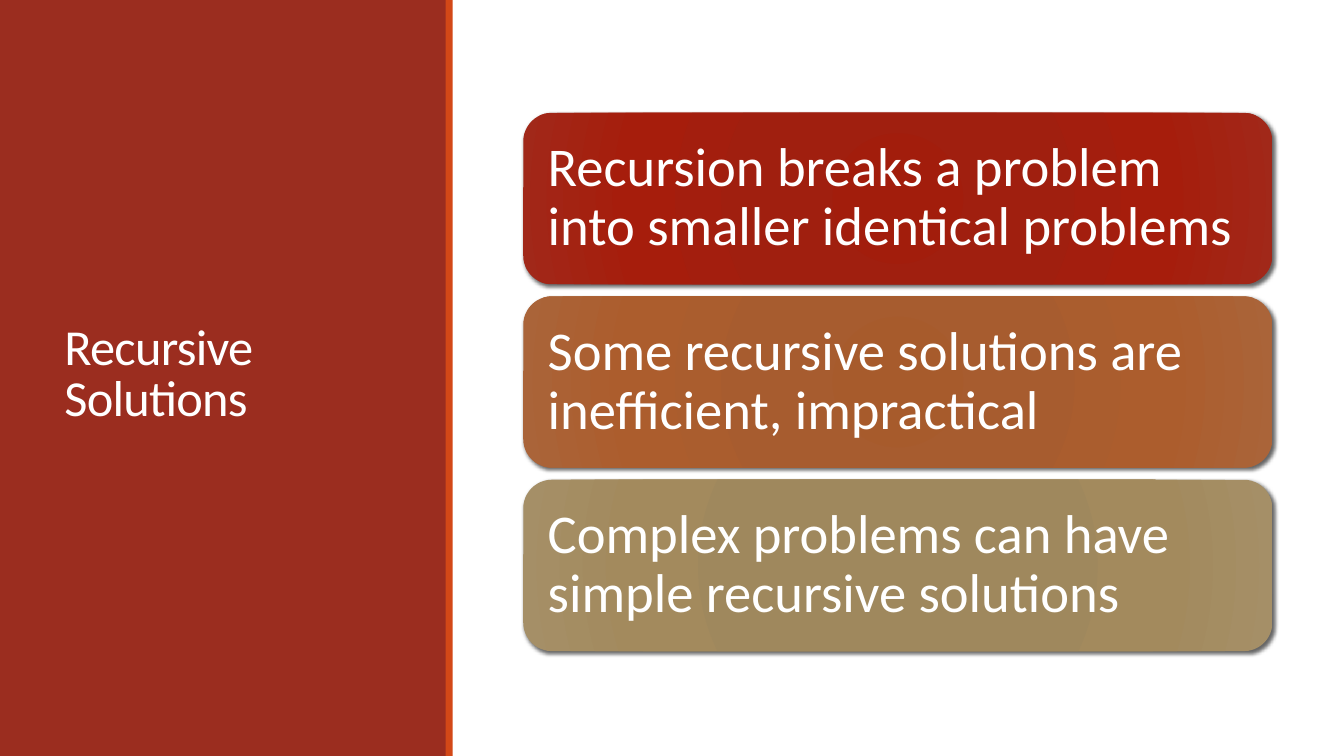
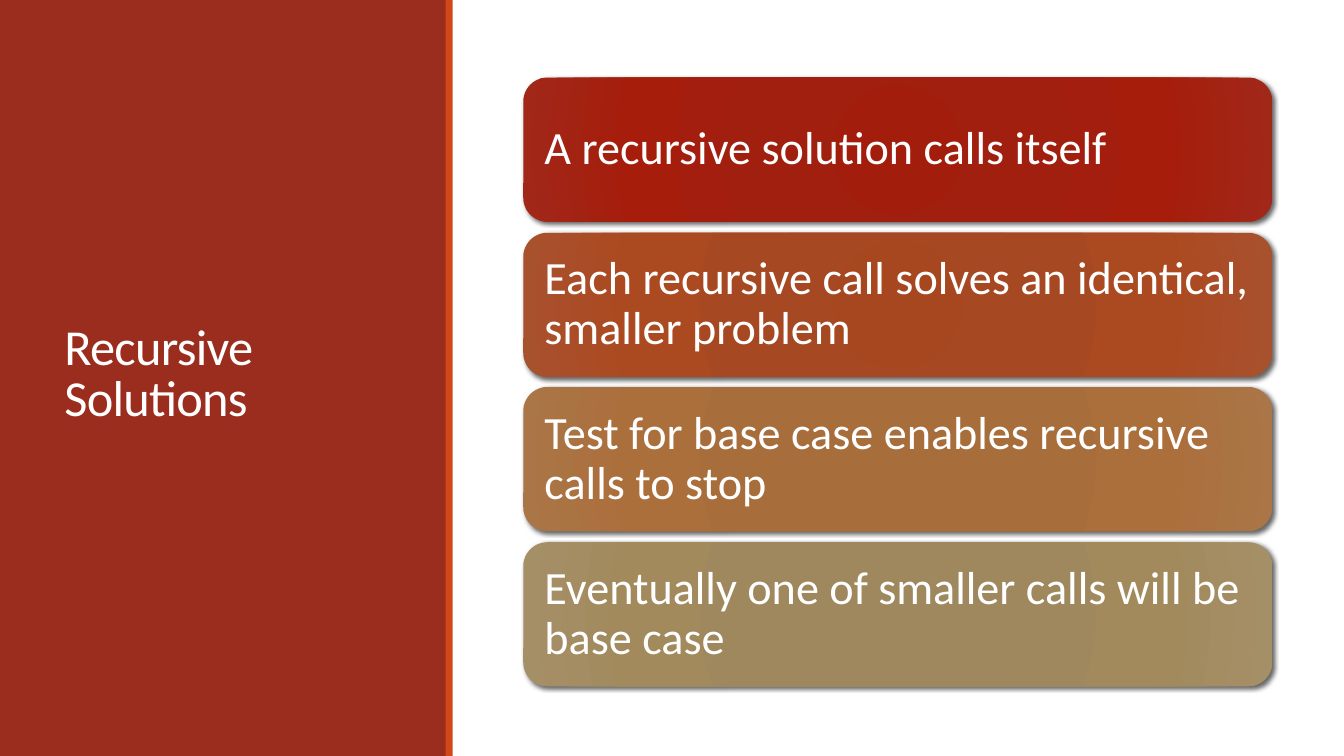
from dataclasses import dataclass

from pptx import Presentation
from pptx.dml.color import RGBColor
from pptx.enum.shapes import MSO_SHAPE as Shape
from pptx.enum.text import MSO_ANCHOR as Anchor, PP_ALIGN as Align
from pptx.oxml import parse_xml
from pptx.oxml.ns import nsdecls, qn
from pptx.util import Pt

PX = 9144  # EMU in one px, 100 px to the inch


@dataclass(frozen=True)
class Theme:
    font: str = "Calibri"
    text: str = "FFFFFF"
    panel: str = "9B2D1F"
    accent: str = "D34817"
    shadow: str = "000000"
    title_size: int = 36
    large_size: int = 39
    medium_size: int = 33
    # Radial colours of the cards, from the centre to the edge
    stops: tuple = (0, 34, 70, 100)
    red: tuple = ("A21D0C", "A01F0F", "A61D0C", "A12819")
    rust: tuple = ("A74720", "A64923", "AB4921", "A8512D")
    copper: tuple = ("A75B2C", "A75C2F", "AC5D2D", "AA6439")
    amber: tuple = ("A76C39", "A76E3C", "AB6F3B", "AA7547")
    sand: tuple = ("9F875B", "9F885D", "A38A5D", "A58F67")


THEME = Theme()

# Layout shared by the slides
SLIDE_WIDTH, SLIDE_HEIGHT = 1333, 750
PANEL_WIDTH = 443
STRIPE_LEFT, STRIPE_WIDTH = 442, 7
TITLE_BOX = (54, 57, 337, 631)
CARD_LEFT, CARD_WIDTH = 519, 743
STACK_MIDDLE = 379

TITLE = "Recursive Solutions"
SLIDES = [
    dict(
        stack_height=534, card_height=170, inset=16, size=THEME.large_size,
        cards=[
            ("Recursion breaks a problem into smaller identical problems", THEME.red),
            ("Some recursive solutions are inefficient, impractical", THEME.copper),
            ("Complex problems can have simple recursive solutions", THEME.sand),
        ],
    ),
    dict(
        stack_height=604, card_height=143, inset=14, size=THEME.medium_size,
        cards=[
            ("A recursive solution calls itself", THEME.red),
            ("Each recursive call solves an identical, smaller problem", THEME.rust),
            ("Test for base case enables recursive calls to stop", THEME.amber),
            ("Eventually one of smaller calls will be base case", THEME.sand),
        ],
    ),
]


def scaled(*lengths):
    return [length * PX for length in lengths]


def apply_format(target, values):
    for name, value in values.items():
        setattr(target, name, value)


def write_text(shape, text, size, line_spacing, inset=None):
    """Fill a shape with one left-aligned, vertically centred paragraph."""
    frame = shape.text_frame
    apply_format(frame, dict(word_wrap=True, vertical_anchor=Anchor.MIDDLE))
    if inset is not None:
        sides = ("left", "top", "right", "bottom")
        apply_format(frame, {f"margin_{side}": inset * PX for side in sides})
    para = frame.paragraphs[0]
    apply_format(para, dict(alignment=Align.LEFT, line_spacing=line_spacing))
    span = para.add_run()
    span.text = text
    apply_format(span.font, dict(name=THEME.font, size=Pt(size)))
    span.font.color.rgb = RGBColor.from_string(THEME.text)
    return span


def add_plain_shape(page, kind, box):
    shape = page.shapes.add_shape(kind, *scaled(*box))
    shape.shadow.inherit = False
    shape.line.fill.background()
    return shape


def add_band(page, left, width, color):
    """Full-height vertical band."""
    band = add_plain_shape(page, Shape.RECTANGLE, (left, 0, width, SLIDE_HEIGHT))
    band.fill.solid()
    band.fill.fore_color.rgb = RGBColor.from_string(color)


def add_title(page, text):
    box = page.shapes.add_textbox(*scaled(*TITLE_BOX))
    span = write_text(box, text, THEME.title_size, 0.85)
    span.font._element.set("spc", "-50")


def set_radial_fill(shape, colors):
    stops = "".join(
        f'<a:gs pos="{stop * 1000}"><a:srgbClr val="{color}"/></a:gs>'
        for stop, color in zip(THEME.stops, colors)
    )
    gradient = parse_xml(
        f'<a:gradFill {nsdecls("a")} rotWithShape="1"><a:gsLst>{stops}</a:gsLst>'
        '<a:path path="circle"><a:fillToRect l="100000" t="100000" r="100000" b="100000"/>'
        "</a:path></a:gradFill>"
    )
    shape.fill.background()
    properties = shape._element.spPr
    properties.replace(properties.find(qn("a:noFill")), gradient)


def set_shadow(shape):
    """Soft shadow: 3 pt blur, 2 pt away, 45 degrees, 60 % opaque."""
    effects = shape._element.spPr.find(qn("a:effectLst"))
    effects.append(parse_xml(
        f'<a:outerShdw {nsdecls("a")} blurRad="{Pt(3)}" dist="{Pt(2)}" dir="2700000"'
        f' algn="ctr" rotWithShape="0"><a:srgbClr val="{THEME.shadow}">'
        '<a:alpha val="60000"/></a:srgbClr></a:outerShdw>'
    ))


def add_card_stack(page, cards, stack_height, card_height, inset, size):
    """Cards spread evenly over a stack centred on STACK_MIDDLE."""
    first_top = STACK_MIDDLE - stack_height // 2
    pitch = (stack_height - card_height) / (len(cards) - 1)
    for index, (text, colors) in enumerate(cards):
        top = first_top + round(index * pitch)
        box = (CARD_LEFT, top, CARD_WIDTH, card_height)
        card = add_plain_shape(page, Shape.ROUNDED_RECTANGLE, box)
        set_radial_fill(card, colors)
        set_shadow(card)
        write_text(card, text, size, 0.9, inset)


def main():
    deck = Presentation()
    deck.slide_width, deck.slide_height = scaled(SLIDE_WIDTH, SLIDE_HEIGHT)
    blank = deck.slide_layouts[6]
    for content in SLIDES:
        page = deck.slides.add_slide(blank)
        # Side panel with the title
        add_band(page, 0, PANEL_WIDTH, THEME.panel)
        add_title(page, TITLE)
        add_band(page, STRIPE_LEFT, STRIPE_WIDTH, THEME.accent)
        # Statements
        add_card_stack(page, **content)
    deck.save("out.pptx")


if __name__ == "__main__":
    main()
